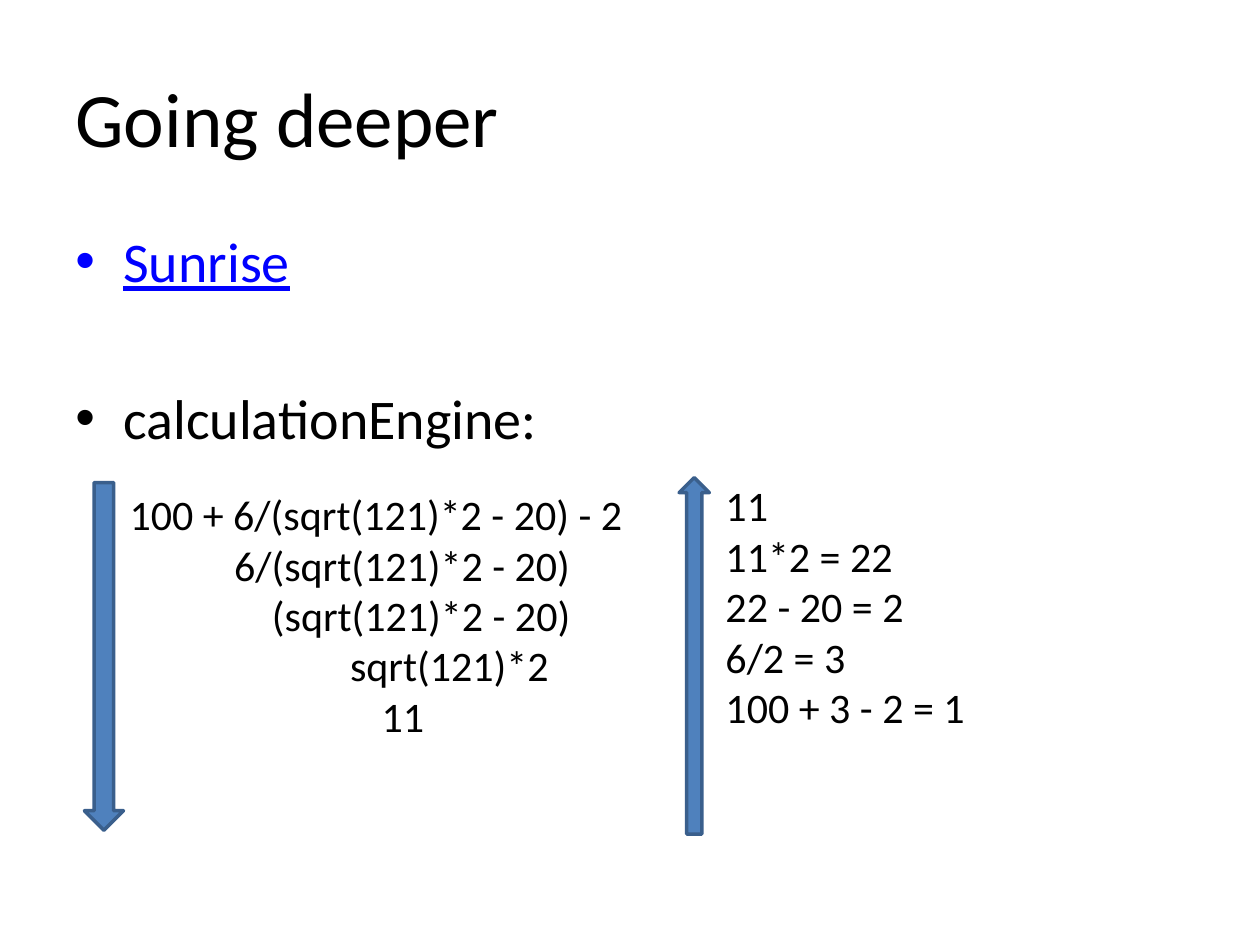
from dataclasses import dataclass

from lxml import etree
from pptx import Presentation
from pptx.dml.color import RGBColor
from pptx.enum.shapes import MSO_SHAPE
from pptx.enum.text import MSO_ANCHOR, PP_ALIGN
from pptx.oxml.ns import qn
from pptx.util import Inches, Pt

DOWN_ARROW = MSO_SHAPE.DOWN_ARROW
UP_ARROW = MSO_SHAPE.UP_ARROW
TOP = MSO_ANCHOR.TOP
MIDDLE = MSO_ANCHOR.MIDDLE
LEFT = PP_ALIGN.LEFT


@dataclass(frozen=True)
class Theme:
    font: str = "Calibri"
    text: RGBColor = RGBColor(0x00, 0x00, 0x00)
    link: RGBColor = RGBColor(0x00, 0x00, 0xFF)
    arrow_fill: RGBColor = RGBColor(0x4F, 0x81, 0xBD)
    arrow_line: RGBColor = RGBColor(0x3A, 0x5F, 0x8C)
    arrow_line_width: Pt = Pt(2)
    title_size: Pt = Pt(44)
    bullet_size: Pt = Pt(32)
    step_size: Pt = Pt(24)
    bullet_indent: float = 0.38
    bullet_gap: Pt = Pt(51)


class SlideBuilder:
    def __init__(self, slide, theme):
        self.slide = slide
        self.theme = theme

    def text_frame(self, box, lines, size, anchor=TOP):
        shape = self.slide.shapes.add_textbox(*map(Inches, box))
        text_frame = shape.text_frame
        text_frame.word_wrap = True
        text_frame.vertical_anchor = anchor
        text_frame.text = "\n".join(lines)
        for paragraph in text_frame.paragraphs:
            paragraph.alignment = LEFT
            for run in paragraph.runs:
                run.font.name = self.theme.font
                run.font.size = size
                run.font.color.rgb = self.theme.text
        return text_frame

    def indent(self, paragraph, margin, first_line=0):
        properties = paragraph._p.get_or_add_pPr()
        properties.set("marL", str(Inches(margin)))
        properties.set("indent", str(Inches(first_line)))
        return properties

    def title(self, box, text):
        self.text_frame(box, [text], self.theme.title_size, MIDDLE)

    def bullets(self, box, lines, linked):
        theme = self.theme
        text_frame = self.text_frame(box, lines, theme.bullet_size)
        for index, paragraph in enumerate(text_frame.paragraphs):
            if index:
                paragraph.space_before = theme.bullet_gap
            properties = self.indent(paragraph, theme.bullet_indent, -theme.bullet_indent)
            etree.SubElement(properties, qn("a:buFont"), typeface="Arial")
            etree.SubElement(properties, qn("a:buChar"), char="•")
            if paragraph.text in linked:
                font = paragraph.runs[0].font
                font.color.rgb = theme.link
                font.underline = True

    def steps(self, box, lines, margins):
        text_frame = self.text_frame(box, lines, self.theme.step_size)
        for paragraph, margin in zip(text_frame.paragraphs, margins):
            self.indent(paragraph, margin)

    def arrow(self, kind, box):
        shape = self.slide.shapes.add_shape(kind, *map(Inches, box))
        shape.shadow.inherit = False
        shape.fill.solid()
        shape.fill.fore_color.rgb = self.theme.arrow_fill
        shape.line.color.rgb = self.theme.arrow_line
        shape.line.width = self.theme.arrow_line_width


def main():
    presentation = Presentation()
    presentation.slide_width = Inches(10)
    presentation.slide_height = Inches(7.5)
    slide = presentation.slides.add_slide(presentation.slide_layouts[6])
    builder = SlideBuilder(slide, Theme())

    builder.title((0.5, 0.3, 9, 1.25), "Going deeper")
    builder.bullets((0.5, 1.75, 9, 4.95), ["Sunrise", "calculationEngine:"], {"Sunrise"})
    builder.arrow(DOWN_ARROW, (0.67, 3.83, 0.31, 2.76))
    builder.arrow(UP_ARROW, (5.39, 3.79, 0.24, 2.83))

    descent = [
        "100 + 6/(sqrt(121)*2 - 20) - 2",
        "6/(sqrt(121)*2 - 20)",
        "(sqrt(121)*2 - 20)",
        "sqrt(121)*2",
        "11",
    ]
    ascent = ["11", "11*2 = 22", "22 - 20 = 2", "6/2 = 3", "100 + 3 - 2 = 1"]
    builder.steps((0.43, 3.83, 5.2, 2.12), descent, [0.5, 1.33, 1.63, 2.25, 2.5])
    builder.steps((5.16, 3.76, 5.2, 2.12), ascent, [0.5] * len(ascent))

    presentation.save("out.pptx")


if __name__ == "__main__":
    main()
